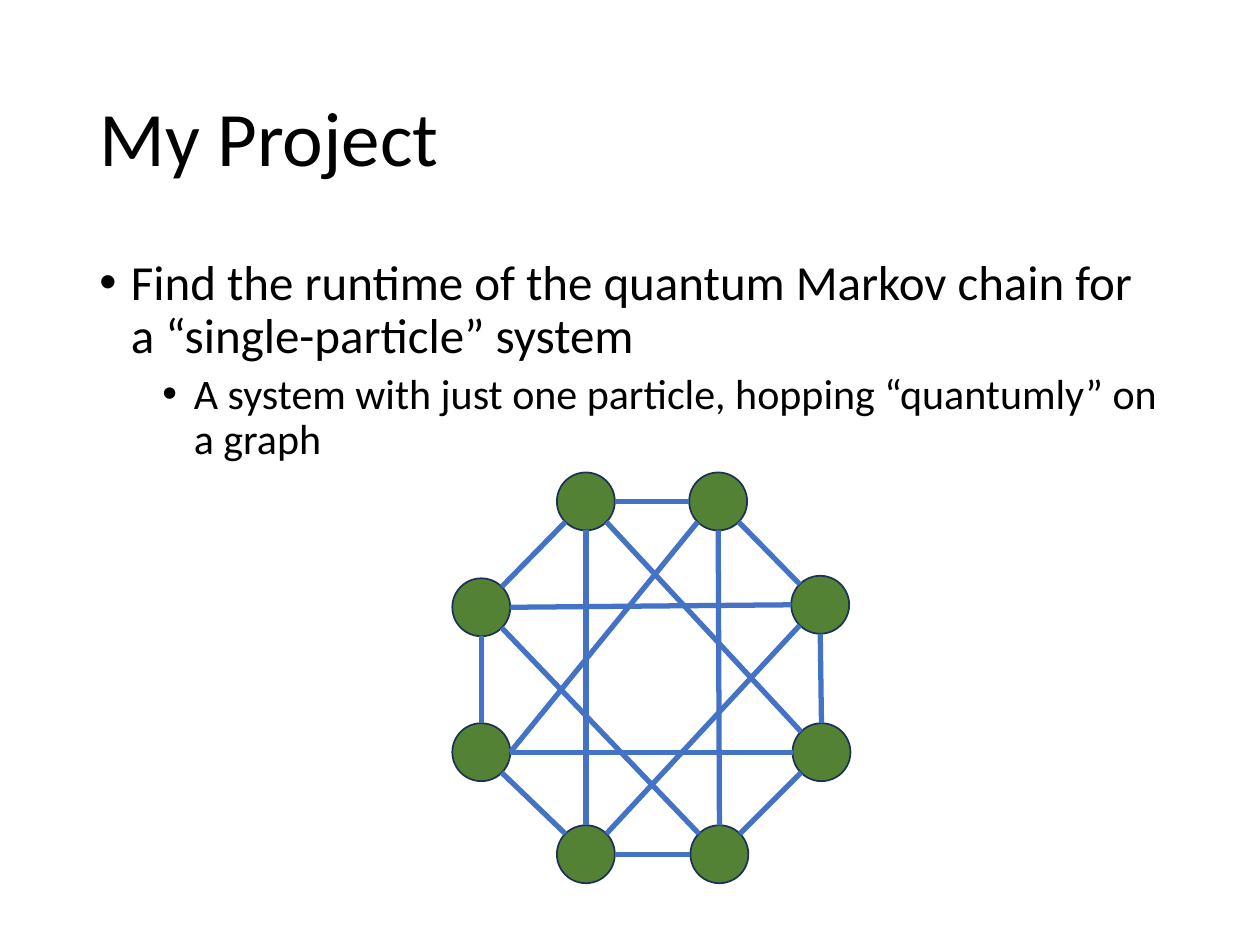
from dataclasses import dataclass
from math import sqrt

from lxml.etree import SubElement
from pptx import Presentation
from pptx.dml.color import RGBColor as Rgb
from pptx.enum.shapes import MSO_CONNECTOR as Conn, MSO_SHAPE as Shape
from pptx.enum.text import MSO_ANCHOR as Anchor, MSO_AUTO_SIZE as Fit, PP_ALIGN as Align
from pptx.oxml.ns import qn
from pptx.slide import Slide
from pptx.text.text import _Paragraph as Para
from pptx.util import Emu, Pt

SCALE = 9144
SIZE = 46


@dataclass(frozen=True)
class Theme:
    font: str = "Calibri"
    ink: Rgb = Rgb(0, 0, 0)
    node: Rgb = Rgb(0x54, 0x82, 0x35)
    rim: Rgb = Rgb(0x1E, 0x32, 0x56)
    edge: Rgb = Rgb(0x44, 0x72, 0xC4)
    title: int = 44
    body: tuple[int, int] = (28, 24)
    rim_width: int = 1
    edge_width: int = 3


@dataclass(frozen=True)
class Node:
    left: int
    top: int


@dataclass(frozen=True)
class Edge:
    start: str
    exit: str
    end: str
    entry: str


@dataclass(frozen=True)
class Point:
    text: str
    level: int
    indent: int
    before: int


THEME = Theme()
DIAG = 1 / sqrt(2)
SITES = {
    "N": (0, -1), "NE": (DIAG, -DIAG), "E": (1, 0), "SE": (DIAG, DIAG),
    "S": (0, 1), "SW": (-DIAG, DIAG), "W": (-1, 0), "NW": (-DIAG, -DIAG),
}
NODES = {
    "a": Node(442, 375), "b": Node(547, 375),
    "c": Node(628, 457), "d": Node(629, 574),
    "e": Node(548, 655), "f": Node(442, 655),
    "g": Node(359, 574), "h": Node(359, 459),
}
RING = [
    Edge("g", "N", "h", "S"), Edge("g", "SE", "f", "NW"),
    Edge("f", "E", "e", "W"), Edge("e", "NE", "d", "SW"),
    Edge("d", "N", "c", "S"), Edge("c", "NW", "b", "SE"),
    Edge("b", "W", "a", "E"), Edge("a", "SW", "h", "NE"),
]
CHORDS = [
    Edge("g", "E", "b", "SW"), Edge("h", "E", "c", "W"),
    Edge("a", "SE", "d", "NW"), Edge("b", "S", "e", "N"),
    Edge("c", "SW", "f", "NE"), Edge("d", "W", "g", "E"),
    Edge("e", "NW", "h", "SE"), Edge("f", "N", "a", "S"),
]
POINTS = [
    Point("Find the runtime of the quantum Markov chain for a “single-particle” system", 0, 25, 0),
    Point("A system with just one particle, hopping “quantumly” on a graph", 1, 75, 5),
]


def px(value: float) -> Emu:
    return Emu(round(value * SCALE))


def add_run(para: Para, text: str, size: int) -> None:
    run = para.add_run()
    run.text = text
    font = run.font
    font.name, font.size, font.bold = THEME.font, Pt(size), False
    font.color.rgb = THEME.ink
    para.line_spacing = 0.9


def add_title(slide: Slide, text: str) -> None:
    title = slide.shapes.title
    title.left, title.top, title.width, title.height = map(px, (69, 40, 862, 145))
    frame = title.text_frame
    frame.auto_size = Fit.NONE
    frame.vertical_anchor = Anchor.MIDDLE
    para = frame.paragraphs[0]
    para.alignment = Align.LEFT
    add_run(para, text, THEME.title)


def add_body(slide: Slide, points: list[Point]) -> None:
    frame = slide.shapes.add_textbox(*map(px, (69, 200, 862, 476))).text_frame
    frame.word_wrap = True
    for i, point in enumerate(points):
        para = frame.add_paragraph() if i else frame.paragraphs[0]
        props = para._p.get_or_add_pPr()
        props.set("marL", str(px(point.indent)))
        props.set("indent", str(px(-25)))
        SubElement(props, qn("a:buFont")).set("typeface", "Arial")
        SubElement(props, qn("a:buChar")).set("char", "•")
        para.level = point.level
        para.space_before = Pt(point.before)
        add_run(para, point.text, THEME.body[point.level])


def add_node(slide: Slide, node: Node) -> None:
    dot = slide.shapes.add_shape(Shape.OVAL, *map(px, (node.left, node.top, SIZE, SIZE)))
    dot.shadow.inherit = False
    dot.fill.solid()
    dot.fill.fore_color.rgb = THEME.node
    dot.line.color.rgb = THEME.rim
    dot.line.width = Pt(THEME.rim_width)


def site(name: str, side: str) -> tuple[Emu, Emu]:
    node, (dx, dy) = NODES[name], SITES[side]
    half = SIZE / 2
    return px(node.left + half * (1 + dx)), px(node.top + half * (1 + dy))


def add_edge(slide: Slide, edge: Edge) -> None:
    ends = site(edge.start, edge.exit) + site(edge.end, edge.entry)
    link = slide.shapes.add_connector(Conn.STRAIGHT, *ends)
    link.line.color.rgb = THEME.edge
    link.line.width = Pt(THEME.edge_width)
    SubElement(link._element.spPr, qn("a:effectLst"))


def main() -> None:
    deck = Presentation()
    deck.slide_width, deck.slide_height = px(1000), px(750)
    slide = deck.slides.add_slide(deck.slide_layouts[5])
    add_title(slide, "My Project")
    add_body(slide, POINTS)
    for node in NODES.values():
        add_node(slide, node)
    for edge in RING + CHORDS:
        add_edge(slide, edge)
    deck.save("out.pptx")


if __name__ == "__main__":
    main()
